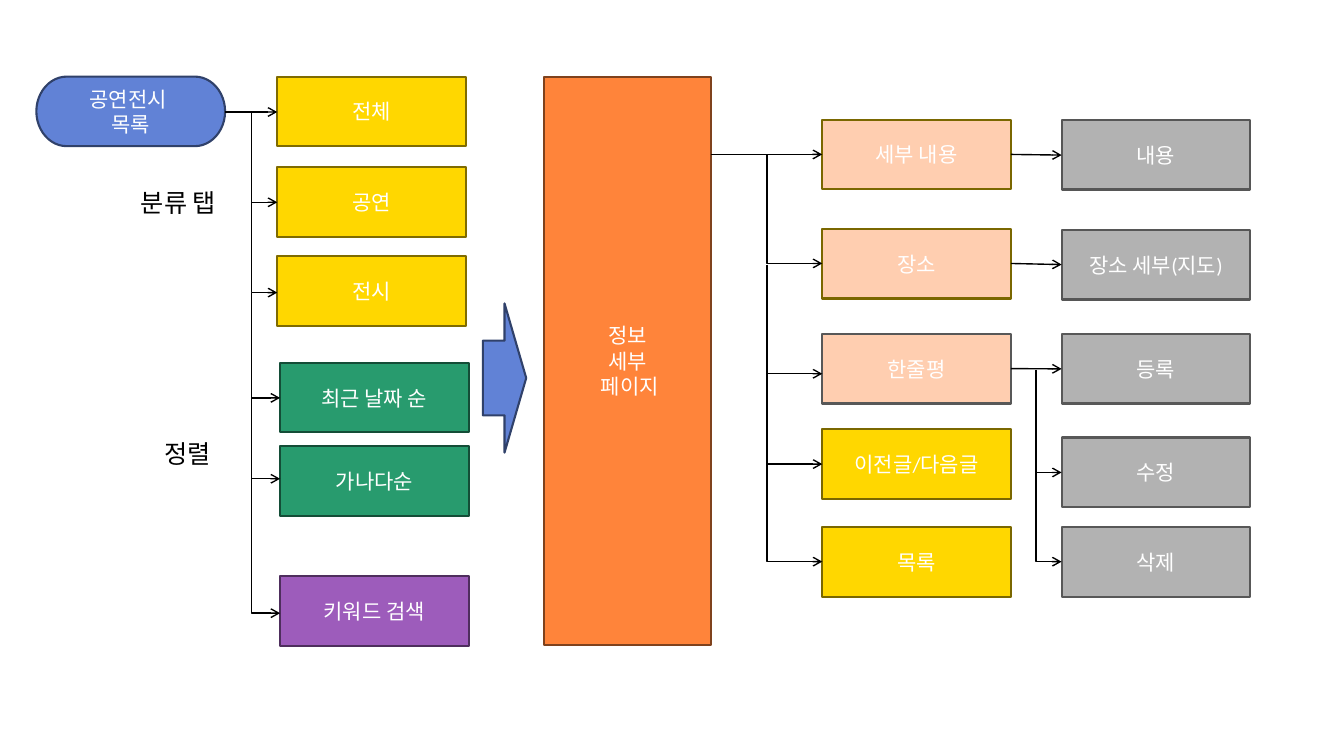
from lxml.etree import SubElement
from pptx import Presentation
from pptx.dml.color import RGBColor
from pptx.enum.shapes import MSO_CONNECTOR, MSO_SHAPE
from pptx.enum.text import MSO_ANCHOR, MSO_AUTO_SIZE, PP_ALIGN
from pptx.oxml.ns import qn
from pptx.util import Pt

WHITE = RGBColor(0xFF, 0xFF, 0xFF)
BLACK = RGBColor(0x00, 0x00, 0x00)
BLUE = RGBColor(0x61, 0x82, 0xD6)
NAVY = RGBColor(0x30, 0x41, 0x6A)
YELLOW = RGBColor(0xFF, 0xD7, 0x00)
OLIVE = RGBColor(0x7F, 0x6B, 0x00)
DARK_OLIVE = RGBColor(0x7A, 0x67, 0x00)
ORANGE = RGBColor(0xFF, 0x84, 0x3A)
BROWN = RGBColor(0x7F, 0x42, 0x1D)
GREEN = RGBColor(0x28, 0x9B, 0x6E)
DARK_GREEN = RGBColor(0x14, 0x4D, 0x37)
PURPLE = RGBColor(0x9D, 0x5C, 0xBB)
DARK_PURPLE = RGBColor(0x4E, 0x2E, 0x5D)
PEACH = RGBColor(0xFF, 0xCE, 0xB0)
GRAY = RGBColor(0xB2, 0xB2, 0xB2)
DARK_GRAY = RGBColor(0x58, 0x58, 0x58)
MID_GRAY = RGBColor(0x56, 0x56, 0x56)

FONT = "Calibri"
BOX_WIDTH, BOX_HEIGHT = 134.8, 49.7
START_LEFT, TOP = 26, 54.7
TAB_LEFT, SORT_LEFT = 198, 200
PAGE_LEFT, PAGE_WIDTH, PAGE_HEIGHT = 388.6, 119.2, 406
DETAIL_LEFT, ACTION_LEFT = 587.3, 758.3

START = ["공연전시 ", "목록"]
DETAIL_PAGE = ["정보", "세부", " 페이지"]
LABELS = [("분류 탭", 93.6, 130.3, 73.4), ("정렬", 110.2, 309.6, 51.1)]

COLUMNS = [
    (TAB_LEFT, [
        ("전체", TOP, YELLOW, OLIVE),
        ("공연", 119.5, YELLOW, OLIVE),
        ("전시", 182.9, YELLOW, OLIVE),
    ]),
    (SORT_LEFT, [
        ("최근 날짜 순", 259.2, GREEN, DARK_GREEN),
        ("가나다순", 318.8, GREEN, DARK_GREEN),
        ("키워드 검색", 411.5, PURPLE, DARK_PURPLE),
    ]),
    (DETAIL_LEFT, [
        ("세부 내용", 85.5, PEACH, DARK_OLIVE),
        ("장소", 163.5, PEACH, DARK_OLIVE),
        ("한줄평", 238.5, PEACH, DARK_GRAY),
        ("이전글/다음글", 306.7, YELLOW, DARK_OLIVE),
        ("목록", 376.5, YELLOW, DARK_OLIVE),
    ]),
    (ACTION_LEFT, [
        ("내용", 85.7, GRAY, MID_GRAY),
        ("장소 세부(지도)", 164.2, GRAY, MID_GRAY),
        ("등록", 238.5, GRAY, DARK_GRAY),
        ("수정", 312.5, GRAY, DARK_GRAY),
        ("삭제", 376.5, GRAY, DARK_GRAY),
    ]),
]

DETAIL_RIGHT = DETAIL_LEFT + BOX_WIDTH
STRAIGHT_ARROWS = [
    (START_LEFT + BOX_WIDTH, 80, TAB_LEFT, 80),
    (PAGE_LEFT + PAGE_WIDTH, 110.3, DETAIL_LEFT, 110.3),
    (DETAIL_RIGHT, 110.3, ACTION_LEFT, 110.8),
    (DETAIL_RIGHT, 188.2, ACTION_LEFT, 189),
    (DETAIL_RIGHT, 263.3, ACTION_LEFT, 263.5),
]
BRANCHES = [
    (179.5, TAB_LEFT, [(80, 144.5), (144.5, 209)]),
    (179.5, SORT_LEFT, [(209, 284.2), (241.2, 342), (337.5, 438)]),
    (547.7, DETAIL_LEFT, [(110.3, 188.2), (189, 267), (253.5, 331.5), (323.3, 401.2)]),
    (740, ACTION_LEFT, [(264.3, 337.5), (328.2, 401.2)]),
]


def write(frame, lines, size=15, color=WHITE, align=PP_ALIGN.CENTER):
    for index, line in enumerate(lines):
        para = frame.paragraphs[0] if index == 0 else frame.add_paragraph()
        para.alignment = align
        span = para.add_run()
        span.text = line
        span.font.name = FONT
        span.font.size = Pt(size)
        span.font.color.rgb = color


def add_box(page, kind, left, top, width, height, fill, border, lines=()):
    box = page.shapes.add_shape(kind, Pt(left), Pt(top), Pt(width), Pt(height))
    box.shadow.inherit = False
    box.fill.solid()
    box.fill.fore_color.rgb = fill
    box.line.color.rgb = border
    box.line.width = Pt(1.5)
    box.text_frame.word_wrap = True
    box.text_frame.vertical_anchor = MSO_ANCHOR.MIDDLE
    write(box.text_frame, lines)


def add_label(page, text, left, top, width):
    label = page.shapes.add_textbox(Pt(left), Pt(top), Pt(width), Pt(29))
    label.text_frame.word_wrap = False
    label.text_frame.auto_size = MSO_AUTO_SIZE.SHAPE_TO_FIT_TEXT
    write(label.text_frame, [text], size=18, color=BLACK, align=PP_ALIGN.LEFT)


def add_arrow(page, kind, x1, y1, x2, y2):
    arrow = page.shapes.add_connector(kind, Pt(x1), Pt(y1), Pt(x2), Pt(y2))
    arrow.line.color.rgb = BLACK
    arrow.line.width = Pt(1)
    properties = arrow._element.spPr
    SubElement(properties.find(qn("a:ln")), qn("a:tailEnd"), type="arrow")
    SubElement(properties, qn("a:effectLst"))
    return properties


def add_branch(page, x1, y1, x2, y2):
    center_x, center_y = (x1 + x2) / 2, (y1 + y2) / 2
    half_run, half_drop = (x2 - x1) / 2, (y2 - y1) / 2
    properties = add_arrow(page, MSO_CONNECTOR.ELBOW,
                           center_x + half_drop, center_y - half_run,
                           center_x - half_drop, center_y + half_run)
    properties.find(qn("a:prstGeom")).set("prst", "bentConnector2")
    properties.find(qn("a:xfrm")).set("rot", str(270 * 60000))


def main():
    deck = Presentation()
    deck.slide_width, deck.slide_height = Pt(960), Pt(540)
    page = deck.slides.add_slide(deck.slide_layouts[6])

    add_box(page, MSO_SHAPE.FLOWCHART_TERMINATOR, START_LEFT, TOP,
            BOX_WIDTH, BOX_HEIGHT, BLUE, NAVY, START)
    add_box(page, MSO_SHAPE.FLOWCHART_PROCESS, PAGE_LEFT, TOP,
            PAGE_WIDTH, PAGE_HEIGHT, ORANGE, BROWN, DETAIL_PAGE)
    add_box(page, MSO_SHAPE.RIGHT_ARROW, 344.9, 216.7, 31, 106.6, BLUE, NAVY)

    for left, boxes in COLUMNS:
        for text, top, fill, border in boxes:
            add_box(page, MSO_SHAPE.FLOWCHART_PROCESS, left, top,
                    BOX_WIDTH, BOX_HEIGHT, fill, border, [text])
    for label in LABELS:
        add_label(page, *label)
    for ends in STRAIGHT_ARROWS:
        add_arrow(page, MSO_CONNECTOR.STRAIGHT, *ends)
    for trunk, target, drops in BRANCHES:
        for start, end in drops:
            add_branch(page, trunk, start, target, end)

    deck.save("out.pptx")


if __name__ == "__main__":
    main()
